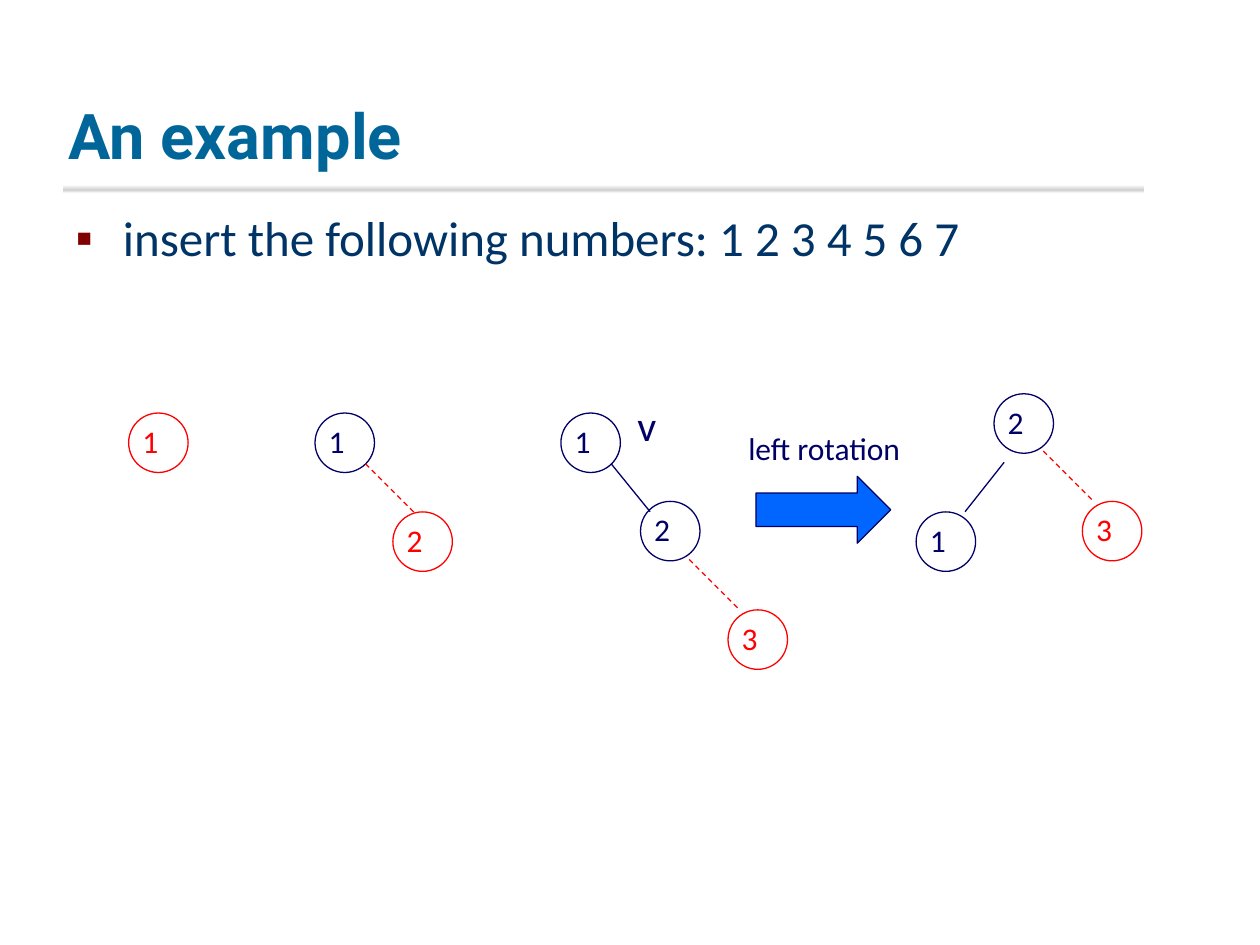
from dataclasses import dataclass

from lxml import etree
from pptx import Presentation
from pptx.dml.color import RGBColor
from pptx.enum.dml import MSO_LINE
from pptx.enum.shapes import MSO_CONNECTOR, MSO_SHAPE
from pptx.enum.text import MSO_ANCHOR, MSO_AUTO_SIZE, PP_ALIGN
from pptx.oxml import parse_xml
from pptx.oxml.ns import nsdecls, qn
from pptx.util import Pt

NAVY = RGBColor(0x00, 0x00, 0x66)
RED = RGBColor(0xFF, 0x00, 0x00)
BLUE = RGBColor(0x00, 0x66, 0xFF)
TEAL = RGBColor(0x00, 0x66, 0x99)
BODY_COLOR = RGBColor(0x00, 0x33, 0x66)
BULLET_COLOR = RGBColor(0x80, 0x00, 0x00)
WHITE = RGBColor(0xFF, 0xFF, 0xFF)
GRAY = RGBColor(0xD0, 0xD0, 0xD0)

DASH = MSO_LINE.DASH
STRAIGHT = MSO_CONNECTOR.STRAIGHT
ELLIPSE = MSO_SHAPE.OVAL
RECTANGLE = MSO_SHAPE.RECTANGLE
RIGHT_ARROW = MSO_SHAPE.RIGHT_ARROW
LEFT = PP_ALIGN.LEFT
TOP = MSO_ANCHOR.TOP
BOTTOM = MSO_ANCHOR.BOTTOM
NO_AUTOFIT = MSO_AUTO_SIZE.NONE
GROW = MSO_AUTO_SIZE.SHAPE_TO_FIT_TEXT

NODE_SIZE = 34
LINE_WIDTH = 0.75


@dataclass(frozen=True)
class Node:
    text: str
    left: float
    top: float
    is_new: bool = False


@dataclass(frozen=True)
class Edge:
    start: tuple[float, float]
    end: tuple[float, float]
    is_new: bool = False


NODES = [
    Node("1", 73.5, 236, True),
    Node("1", 180, 236),
    Node("2", 224.5, 292.5, True),
    Node("1", 320.5, 236),
    Node("3", 416, 348.5, True),
    Node("2", 366, 286.5),
    Node("1", 523.5, 292.5),
    Node("3", 618.5, 286.5, True),
    Node("2", 568, 225),
]

EDGES = [
    Edge((208.8, 265), (237.6, 293.8), True),
    Edge((349.2, 265), (371.5, 292.4)),
    Edge((393.8, 319.7), (422.6, 348.5), True),
    Edge((596.2, 257.8), (625, 286.6), True),
    Edge((573.8, 264.2), (551.5, 292.4)),
]


def place(box, left: float, top: float, width: float, height: float) -> None:
    box.left, box.top = Pt(left), Pt(top)
    box.width, box.height = Pt(width), Pt(height)


def format_text(box, text: str, *, size: float, color: RGBColor,
                font: str = "Calibri", bold: bool = False,
                anchor=TOP, wrap: bool = True, fit=NO_AUTOFIT):
    frame = box.text_frame
    frame.word_wrap = wrap
    frame.auto_size = fit
    frame.vertical_anchor = anchor
    para = frame.paragraphs[0]
    para.alignment = LEFT
    span = para.add_run()
    span.text = text
    span.font.name = font
    span.font.size = Pt(size)
    span.font.bold = bold
    span.font.color.rgb = color
    return para


def add_label(shapes, text: str, left: float, top: float, width: float,
              height: float, *, size: float = 18,
              color: RGBColor = NAVY) -> None:
    box = shapes.add_textbox(Pt(left), Pt(top), Pt(width), Pt(height))
    format_text(box, text, size=size, color=color, wrap=False, fit=GROW)


def outline(shape, color: RGBColor) -> None:
    shape.shadow.inherit = False
    shape.line.color.rgb = color
    shape.line.width = Pt(LINE_WIDTH)


def draw_node(page, node: Node) -> None:
    color = RED if node.is_new else NAVY
    group = page.shapes.add_group_shape()
    circle = group.shapes.add_shape(
        ELLIPSE, Pt(node.left), Pt(node.top), Pt(NODE_SIZE), Pt(NODE_SIZE))
    circle.fill.background()
    outline(circle, color)
    add_label(group.shapes, node.text, node.left + 0.75, node.top + 1.7,
              23.8, 28.8, color=color)


def draw_edge(page, edge: Edge) -> None:
    line = page.shapes.add_connector(
        STRAIGHT, *map(Pt, edge.start), *map(Pt, edge.end))
    line.line.color.rgb = RED if edge.is_new else NAVY
    line.line.width = Pt(LINE_WIDTH)
    if edge.is_new:
        line.line.dash_style = DASH
    etree.SubElement(line._element.spPr, qn("a:effectLst"))


def draw_title_rule(page) -> None:
    rule = page.shapes.add_shape(
        RECTANGLE, Pt(36), Pt(101.5), Pt(618), Pt(9))
    rule.shadow.inherit = False
    rule.line.fill.background()
    rule.fill.gradient()
    rule.fill.gradient_angle = 270
    stops = rule._element.spPr.find(qn("a:gradFill")).find(qn("a:gsLst"))
    for stop in list(stops):
        stops.remove(stop)
    for position, color in ((0, WHITE), (45, WHITE), (80, GRAY), (100, WHITE)):
        stops.append(parse_xml(
            f'<a:gs {nsdecls("a")} pos="{position * 1000}">'
            f'<a:srgbClr val="{color}"/></a:gs>'))


def add_bullet(para) -> None:
    properties = para._p.get_or_add_pPr()
    properties.set("marL", str(Pt(27)))
    properties.set("indent", str(-Pt(27)))
    for markup in (
        f'<a:buClr {nsdecls("a")}><a:srgbClr val="{BULLET_COLOR}"/></a:buClr>',
        f'<a:buChar {nsdecls("a")} char="▪"/>',
    ):
        properties.append(parse_xml(markup))


def main() -> None:
    deck = Presentation()
    deck.slide_width, deck.slide_height = Pt(720), Pt(540)
    page = deck.slides.add_slide(deck.slide_layouts[1])
    title, body = page.placeholders

    draw_title_rule(page)
    place(title, 31.7, 12.2, 612, 90)
    heading = format_text(title, "An example", size=36, color=TEAL,
                          font="Roboto", bold=True, anchor=BOTTOM)
    heading.runs[0].font._element.set("spc", "10")

    place(body, 36, 115.2, 644.4, 59)
    item = format_text(body, "insert the following numbers: 1 2 3 4 5 6 7",
                       size=28, color=BODY_COLOR)
    item.space_before = Pt(0)
    add_bullet(item)

    for node in NODES:
        draw_node(page, node)
    for edge in EDGES:
        draw_edge(page, edge)

    arrow = page.shapes.add_shape(
        RIGHT_ARROW, Pt(432), Pt(272.2), Pt(77), Pt(38.2))
    arrow.fill.solid()
    arrow.fill.fore_color.rgb = BLUE
    outline(arrow, NAVY)
    add_label(page.shapes, "left rotation", 420.5, 241.9, 102.2, 28.8)
    add_label(page.shapes, "v", 357.1, 224.6, 25.2, 36, size=24)

    deck.save("out.pptx")


if __name__ == "__main__":
    main()
